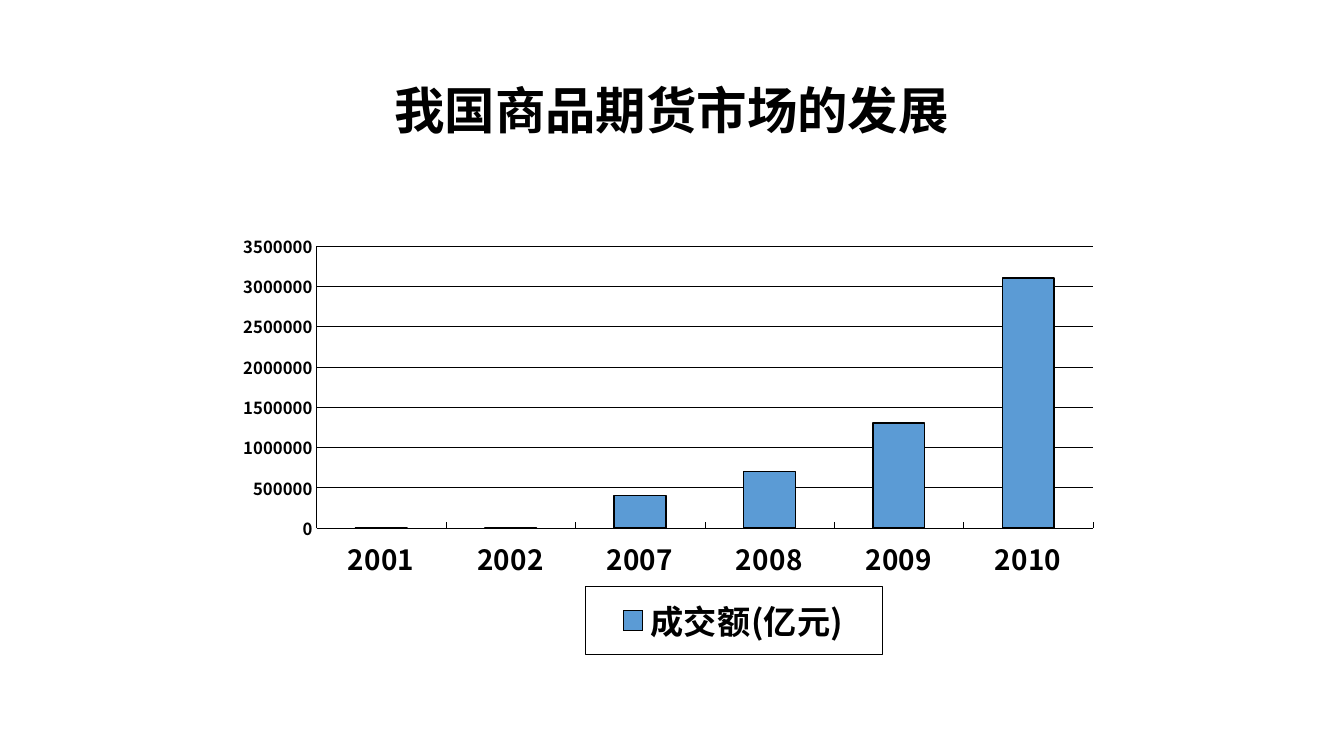
import pptx
import pptx.chart.data
import pptx.dml.color
import pptx.enum.chart
import pptx.enum.text
import pptx.oxml
import pptx.oxml.ns
import pptx.util
from pptx.util import Inches

COLORS = {"ink": "000000", "bar": "5B9BD5"}
FONT = "Noto Sans CJK SC"
INK = pptx.dml.color.RGBColor.from_string(COLORS["ink"])
NAMESPACES = pptx.oxml.ns.nsdecls("c", "a")
CHART_LEFT, CHART_TOP, CHART_WIDTH, CHART_HEIGHT = 2.23, 2.23, 8.79, 4.26


def style_font(font, size):
    font.size = pptx.util.Pt(size)
    font.bold = True
    font.name = FONT
    font.color.rgb = INK
    east_asian = pptx.oxml.parse_xml(f'<a:ea {NAMESPACES} typeface="{FONT}"/>')
    font._element.find(pptx.oxml.ns.qn("a:latin")).addnext(east_asian)


def manual_layout(left, top, width, height, target=""):
    """Turn page inches into fractions of the chart frame."""
    return pptx.oxml.parse_xml(
        f'<c:layout {NAMESPACES}><c:manualLayout>{target}'
        '<c:xMode val="edge"/><c:yMode val="edge"/>'
        f'<c:x val="{(left - CHART_LEFT) / CHART_WIDTH:.4f}"/>'
        f'<c:y val="{(top - CHART_TOP) / CHART_HEIGHT:.4f}"/>'
        f'<c:w val="{width / CHART_WIDTH:.4f}"/><c:h val="{height / CHART_HEIGHT:.4f}"/>'
        '</c:manualLayout></c:layout>')


deck = pptx.Presentation()
deck.slide_width = Inches(13.33)
deck.slide_height = Inches(7.5)
page = deck.slides.add_slide(deck.slide_layouts[5])

# Title
title = page.shapes.title
title.left, title.top = Inches(0.91), Inches(0.4)
title.width, title.height = Inches(11.5), Inches(1.45)
title.text_frame.text = "我国商品期货市场的发展"
title.text_frame.vertical_anchor = pptx.enum.text.MSO_ANCHOR.MIDDLE
para = title.text_frame.paragraphs[0]
para.alignment = pptx.enum.text.PP_ALIGN.CENTER
para.line_spacing = 0.9
style_font(para.runs[0].font, 36)

# Turnover by year
turnover = pptx.chart.data.CategoryChartData()
turnover.categories = ["2001", "2002", "2007", "2008", "2009", "2010"]
turnover.add_series("成交额(亿元)", [0, 0, 400000, 700000, 1300000, 3100000])
chart = page.shapes.add_chart(
    pptx.enum.chart.XL_CHART_TYPE.COLUMN_CLUSTERED,
    Inches(CHART_LEFT), Inches(CHART_TOP),
    Inches(CHART_WIDTH), Inches(CHART_HEIGHT), turnover).chart
chart.has_title = False
style_font(chart.font, 37.2)

# Columns
plot = chart.plots[0]
plot.gap_width = 150
plot.vary_by_categories = False
columns = plot.series[0].format
columns.fill.solid()
columns.fill.fore_color.rgb = pptx.dml.color.RGBColor.from_string(COLORS["bar"])
columns.line.color.rgb = INK
columns.line.width = pptx.util.Pt(1)

# Axes and gridlines
value_axis = chart.value_axis
value_axis.minimum_scale = 0
value_axis.maximum_scale = 3500000
value_axis.major_unit = 500000
value_axis.has_major_gridlines = True
chart.category_axis.tick_label_position = pptx.enum.chart.XL_TICK_LABEL_POSITION.LOW
for axis, size in ((chart.category_axis, 19.9), (value_axis, 11.9)):
    axis.major_tick_mark = pptx.enum.chart.XL_TICK_MARK.INSIDE
    axis.minor_tick_mark = pptx.enum.chart.XL_TICK_MARK.NONE
    style_font(axis.tick_labels.font, size)
for line in (chart.category_axis.format.line, value_axis.format.line,
             value_axis.major_gridlines.format.line):
    line.color.rgb = INK
    line.width = pptx.util.Pt(0.25)

# Framed legend
chart.has_legend = True
legend = chart.legend
legend.position = pptx.enum.chart.XL_LEGEND_POSITION.BOTTOM
legend.include_in_layout = False
style_font(legend.font, 23.7)
frame = pptx.oxml.parse_xml(
    f'<c:spPr {NAMESPACES}><a:noFill/><a:ln w="3175"><a:solidFill>'
    f'<a:srgbClr val="{COLORS["ink"]}"/></a:solidFill></a:ln></c:spPr>')
overlay = legend._element.find(pptx.oxml.ns.qn("c:overlay"))
overlay.addnext(frame)

# Placement of plot and legend
plot_area = chart._chartSpace.chart.plotArea
for parent in (plot_area, legend._element):
    for layout in parent.findall(pptx.oxml.ns.qn("c:layout")):
        parent.remove(layout)
plot_area.insert(0, manual_layout(3.14, 2.44, 7.7, 2.8, '<c:layoutTarget val="inner"/>'))
overlay.addprevious(manual_layout(5.8, 5.82, 2.95, 0.68))

deck.save("out.pptx")
